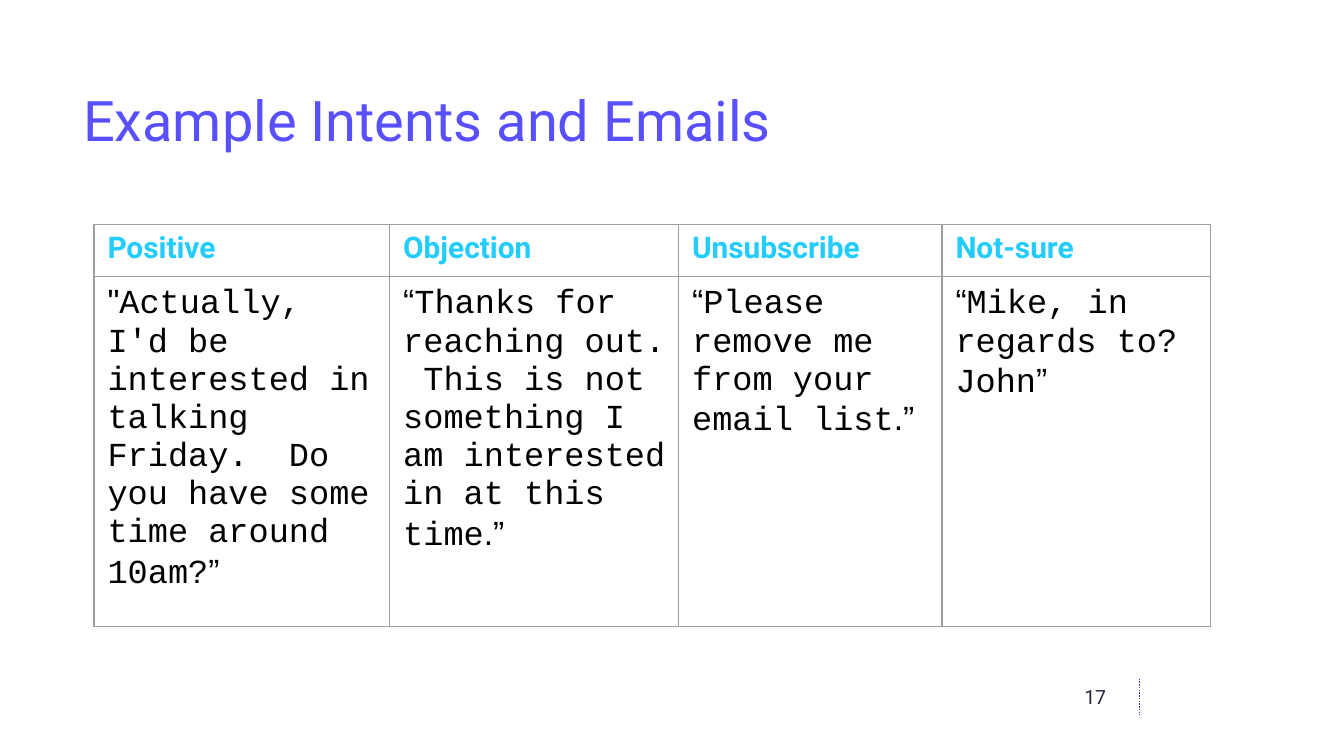
from lxml import etree
from pptx import Presentation
from pptx.dml.color import RGBColor
from pptx.enum.dml import MSO_LINE
from pptx.enum.shapes import MSO_CONNECTOR
from pptx.enum.text import MSO_ANCHOR, PP_ALIGN
from pptx.oxml.ns import qn
from pptx.util import Pt

STRAIGHT = MSO_CONNECTOR.STRAIGHT
DOTTED = MSO_LINE.ROUND_DOT
BOTTOM, MIDDLE = MSO_ANCHOR.BOTTOM, MSO_ANCHOR.MIDDLE
LEFT, RIGHT = PP_ALIGN.LEFT, PP_ALIGN.RIGHT

COLORS = {
    "title": "5850FF",
    "header": "22CCFC",
    "body": "000000",
    "number": "23253D",
    "divider": "413CCE",
    "border": "9E9E9E",
}
HEADING_FONT, QUOTE_FONT, MARK_FONT = "Roboto", "Courier New", "Arial"
INSET = 7.2
LINE_WIDTH = 0.75

COLUMN_WIDTHS = [158.4, 154.8, 141.1, 144]
ROW_HEIGHTS = [28.1, 187.2]
# Intent, opening mark, email text, closing mark
INTENTS = [
    ("Positive", '"',
     "Actually, I'd be interested in talking Friday.  "
     "Do you have some time around 10am?", "”"),
    ("Objection", "“",
     "Thanks for reaching out.  This is not something "
     "I am interested in at this time", ".”"),
    ("Unsubscribe", "“", "Please remove me from your email list", ".”"),
    ("Not-sure", "“", "Mike, in regards to? John", "”"),
]


class SlideBuilder:
    def __init__(self, slide):
        self.slide = slide

    def style(self, font, size, color, name=None, bold=False):
        font.size = Pt(size)
        font.bold = bold
        font.color.rgb = RGBColor.from_string(COLORS[color])
        if name:
            font.name = name

    def text(self, wording, left, top, width, height, size, color, anchor, align=LEFT):
        box = self.slide.shapes.add_textbox(Pt(left), Pt(top), Pt(width), Pt(height))
        frame = box.text_frame
        frame.word_wrap = True
        frame.vertical_anchor = anchor
        frame.margin_left = frame.margin_right = Pt(INSET)
        frame.margin_top = frame.margin_bottom = Pt(INSET)
        paragraph = frame.paragraphs[0]
        paragraph.text = wording
        paragraph.alignment = align
        self.style(paragraph.font, size, color, HEADING_FONT)

    def dotted_divider(self, x, top, bottom):
        divider = self.slide.shapes.add_connector(
            STRAIGHT, Pt(x), Pt(top), Pt(x), Pt(bottom))
        divider.line.color.rgb = RGBColor.from_string(COLORS["divider"])
        divider.line.width = Pt(LINE_WIDTH)
        divider.line.dash_style = DOTTED
        etree.SubElement(divider._element.spPr, qn("a:effectLst"))

    def cell_borders(self, cell):
        """Outline a cell; its fill must be set later, as it follows the lines in XML."""
        properties = cell._tc.get_or_add_tcPr()
        for side in ("a:lnL", "a:lnR", "a:lnT", "a:lnB"):
            line = etree.SubElement(properties, qn(side), w=str(Pt(LINE_WIDTH)))
            fill = etree.SubElement(line, qn("a:solidFill"))
            etree.SubElement(fill, qn("a:srgbClr"), val=COLORS["border"])

    def intent_table(self, left, top):
        table = self.slide.shapes.add_table(
            len(ROW_HEIGHTS), len(COLUMN_WIDTHS), Pt(left), Pt(top),
            Pt(sum(COLUMN_WIDTHS)), Pt(sum(ROW_HEIGHTS))).table
        table.horz_banding = False
        for row, height in zip(table.rows, ROW_HEIGHTS):
            row.height = Pt(height)
        for column, width in zip(table.columns, COLUMN_WIDTHS):
            column.width = Pt(width)
        for cell in table.iter_cells():
            self.cell_borders(cell)
            cell.fill.background()

        for index, (intent, opening, email, closing) in enumerate(INTENTS):
            header = table.cell(0, index).text_frame.paragraphs[0]
            header.text = intent
            self.style(header.font, 16, "header", HEADING_FONT, bold=True)

            quote = table.cell(1, index).text_frame.paragraphs[0]
            self.style(quote.font, 18, "body")
            for part, font_name in ((opening, MARK_FONT), (email, QUOTE_FONT),
                                    (closing, MARK_FONT)):
                run = quote.add_run()
                run.text = part
                self.style(run.font, 18, "body", font_name)


def main():
    presentation = Presentation()
    presentation.slide_width, presentation.slide_height = Pt(720), Pt(405)
    slide = presentation.slides.add_slide(presentation.slide_layouts[6])
    builder = SlideBuilder(slide)
    builder.dotted_divider(610.6, 363.6, 383)
    builder.text("Example Intents and Emails", 37.4, 28.8, 483.8, 60.5,
                 30, "title", BOTTOM)
    builder.text("17", 555.8, 357.8, 43.9, 31, 10.5, "number", MIDDLE, RIGHT)
    builder.intent_table(50.4, 120.2)
    presentation.save("out.pptx")


if __name__ == "__main__":
    main()
